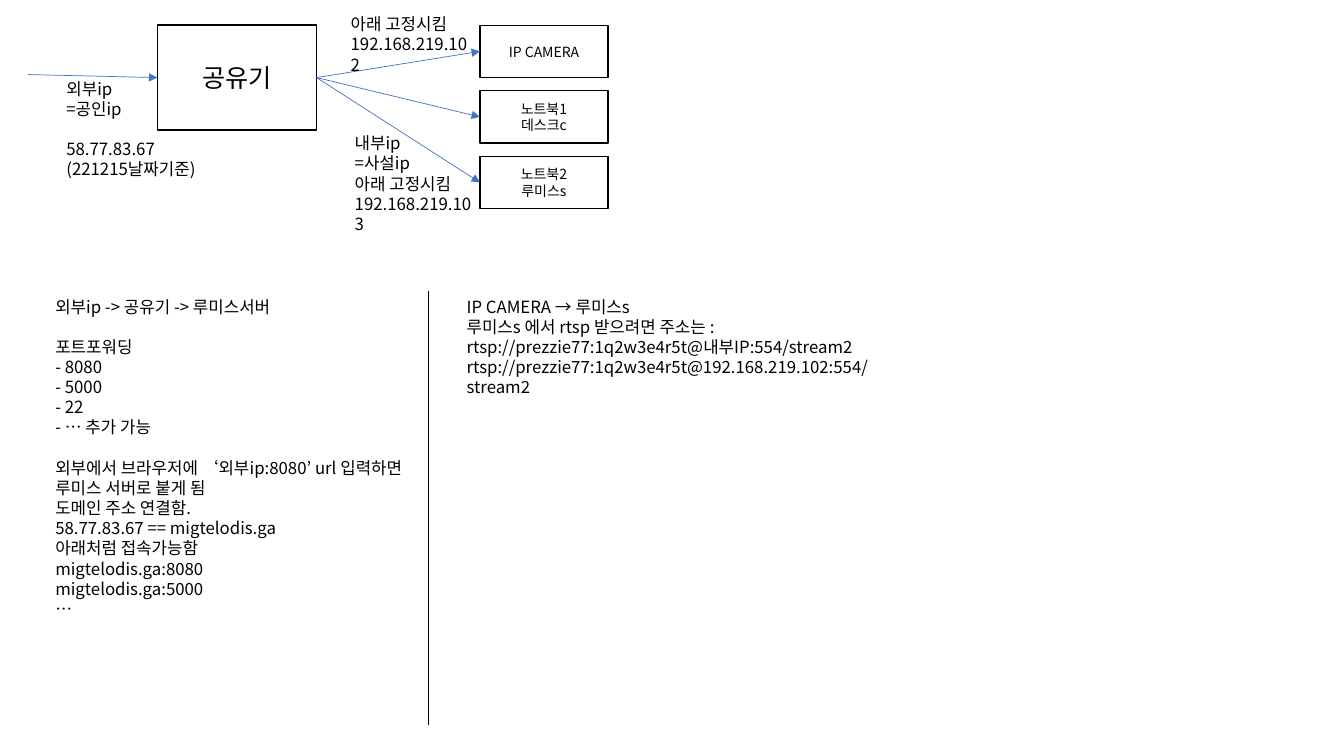
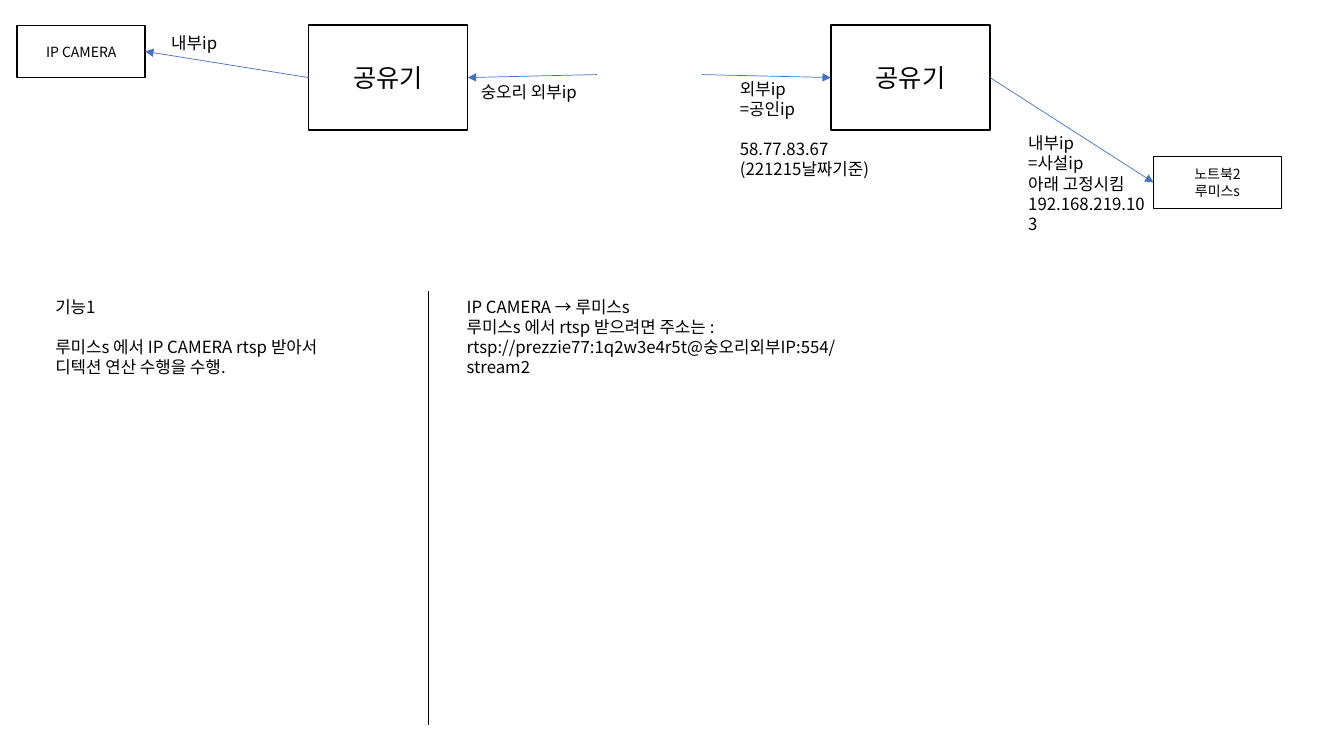
from dataclasses import dataclass
from typing import Optional

from lxml.etree import SubElement
from pptx import Presentation
from pptx.dml.color import RGBColor
from pptx.enum.shapes import MSO_CONNECTOR, MSO_SHAPE
from pptx.enum.text import MSO_ANCHOR, MSO_AUTO_SIZE, PP_ALIGN
from pptx.oxml.ns import qn
from pptx.util import Inches, Pt

BLACK = RGBColor(0x00, 0x00, 0x00)
BLUE = RGBColor(0x44, 0x72, 0xC4)
FONT = "Noto Sans CJK KR"
NOTE_SIZE = 12
GAP = Pt(14.4)  # one line of note text
LEFT, RIGHT = 1, 3  # connection sites of a rectangle


@dataclass(frozen=True)
class BoxStyle:
    width: float
    height: float
    size: int


@dataclass(frozen=True)
class Note:
    """Blocks of lines are separated by a one-line gap."""
    left: float
    top: float
    width: float
    height: float
    blocks: tuple[tuple[str, ...], ...]


ROUTER = BoxStyle(1.58, 1.04, 18)
DEVICE = BoxStyle(1.27, 0.52, 10)
BOX_TOP = 0.25
DEVICE_PITCH = 0.65
LAPTOP_TOP = BOX_TOP + 2 * DEVICE_PITCH
OUTSIDE_Y = 0.74
SHIFT = 6.68  # offset of the server network on the second slide


def style_paragraph(p, text: str, size: int) -> None:
    r = p.add_run()
    r.text = text
    p.font.name = FONT
    p.font.size = Pt(size)
    p.font.color.rgb = BLACK


def add_box(s, left: float, top: float, style: BoxStyle, *lines: str):
    sp = s.shapes.add_shape(MSO_SHAPE.RECTANGLE, Inches(left), Inches(top),
                            Inches(style.width), Inches(style.height))
    sp.shadow.inherit = False
    sp.fill.background()
    sp.line.color.rgb = BLACK
    sp.line.width = Pt(1)
    tf = sp.text_frame
    tf.vertical_anchor = MSO_ANCHOR.MIDDLE
    for i, line in enumerate(lines):
        p = tf.add_paragraph() if i else tf.paragraphs[0]
        p.alignment = PP_ALIGN.CENTER
        style_paragraph(p, line, style.size)
    return sp


def add_note(s, note: Note, dx: float = 0) -> None:
    sp = s.shapes.add_textbox(Inches(note.left + dx), Inches(note.top),
                              Inches(note.width), Inches(note.height))
    tf = sp.text_frame
    tf.word_wrap = True
    tf.auto_size = MSO_AUTO_SIZE.SHAPE_TO_FIT_TEXT
    p = None
    for b, block in enumerate(note.blocks):
        for i, line in enumerate(block):
            p = tf.add_paragraph() if p is not None else tf.paragraphs[0]
            if b and not i:
                p.space_before = GAP
            style_paragraph(p, line, NOTE_SIZE)


def add_line(s, x1: float, y1: float, x2: float, y2: float, color: RGBColor):
    cn = s.shapes.add_connector(MSO_CONNECTOR.STRAIGHT, Inches(x1), Inches(y1),
                                Inches(x2), Inches(y2))
    cn.line.color.rgb = color
    cn.line.width = Pt(0.5)
    SubElement(cn._element.spPr, qn("a:effectLst"))
    return cn


def add_arrow(s, target, site: int, source=None, source_site: int = RIGHT,
              start: Optional[float] = None) -> None:
    """Arrow into target, from a source box or from outside at x = start."""
    cn = add_line(s, start or 0, OUTSIDE_Y, 0, 0, BLUE)
    if source is not None:
        cn.begin_connect(source, source_site)
    cn.end_connect(target, site)
    SubElement(cn.line._get_or_add_ln(), qn("a:tailEnd"), type="triangle")


# Notes
OUTER_NOTE = Note(0.56, 0.73, 1.53, 1.11, (
    ("외부ip", "=공인ip"), ("58.77.83.67", "(221215날짜기준)")))
INNER_NOTE = Note(3.42, 1.27, 1.43, 0.91, (
    ("내부ip", "=사설ip", "아래 고정시킴", "192.168.219.103"),))
CAMERA_NOTE = Note(3.38, 0.09, 1.43, 0.5, (("아래 고정시킴", "192.168.219.102"),))
FORWARDING_NOTE = Note(0.45, 2.89, 3.79, 3.33, (
    ("외부ip -> 공유기 -> 루미스서버",),
    ("포트포워딩", "- 8080", "- 5000", "- 22", "- … 추가 가능"),
    ("외부에서 브라우저에 ‘외부ip:8080’ url 입력하면", "루미스 서버로 붙게 됨",
     "도메인 주소 연결함.", "58.77.83.67 == migtelodis.ga", "아래처럼 접속가능함",
     "migtelodis.ga:8080", "migtelodis.ga:5000", "…")))
FEATURE_NOTE = Note(0.45, 2.89, 3.03, 0.91, (
    ("기능1",), ("루미스s 에서 IP CAMERA rtsp 받아서", "디텍션 연산 수행을 수행.")))
REMOTE_OUTER_NOTE = Note(4.67, 0.76, 1.25, 0.3, (("숭오리 외부ip",),))
REMOTE_INNER_NOTE = Note(1.6, 0.28, 0.68, 0.3, (("내부ip",),))


def add_server_network(s, dx: float = 0):
    """Outside line, router and server laptop; returns the router."""
    router = add_box(s, 1.56 + dx, BOX_TOP, ROUTER, "공유기")
    server = add_box(s, 4.76 + dx, LAPTOP_TOP, DEVICE, "노트북2", "루미스s")
    add_arrow(s, router, LEFT, start=0.28 + dx)
    add_arrow(s, server, LEFT, router)
    add_note(s, OUTER_NOTE, dx)
    add_note(s, INNER_NOTE, dx)
    return router


def add_explanation(s, left_note: Note, width: float, *hosts: str) -> None:
    """Lower half: left note, divider and stream addresses."""
    add_note(s, left_note)
    add_line(s, 4.25, 2.89, 4.25, 7.19, BLACK)
    urls = tuple(f"rtsp://prezzie77:1q2w3e4r5t@{host}:554/stream2" for host in hosts)
    add_note(s, Note(4.53, 2.89, width, 0.91, (
        ("IP CAMERA → 루미스s", "루미스s 에서 rtsp 받으려면 주소는 :") + urls,)))


def build_local_slide(s) -> None:
    router = add_server_network(s)
    for i, lines in enumerate((("IP CAMERA",), ("노트북1", "데스크c"))):
        device = add_box(s, 4.76, BOX_TOP + i * DEVICE_PITCH, DEVICE, *lines)
        add_arrow(s, device, LEFT, router)
    add_note(s, CAMERA_NOTE)
    add_explanation(s, FORWARDING_NOTE, 4.7, "내부IP", "192.168.219.102")


def build_remote_slide(s) -> None:
    add_server_network(s, SHIFT)
    router = add_box(s, 3.06, BOX_TOP, ROUTER, "공유기")
    camera = add_box(s, 0.17, BOX_TOP, DEVICE, "IP CAMERA")
    add_arrow(s, router, RIGHT, start=5.92)
    add_arrow(s, camera, RIGHT, router, LEFT)
    add_note(s, REMOTE_OUTER_NOTE)
    add_note(s, REMOTE_INNER_NOTE)
    add_explanation(s, FEATURE_NOTE, 4.46, "숭오리외부IP")


def main() -> None:
    prs = Presentation()
    prs.slide_width, prs.slide_height = Inches(13.33), Inches(7.5)
    for build in (build_local_slide, build_remote_slide):
        build(prs.slides.add_slide(prs.slide_layouts[6]))
    prs.save("out.pptx")


if __name__ == "__main__":
    main()
